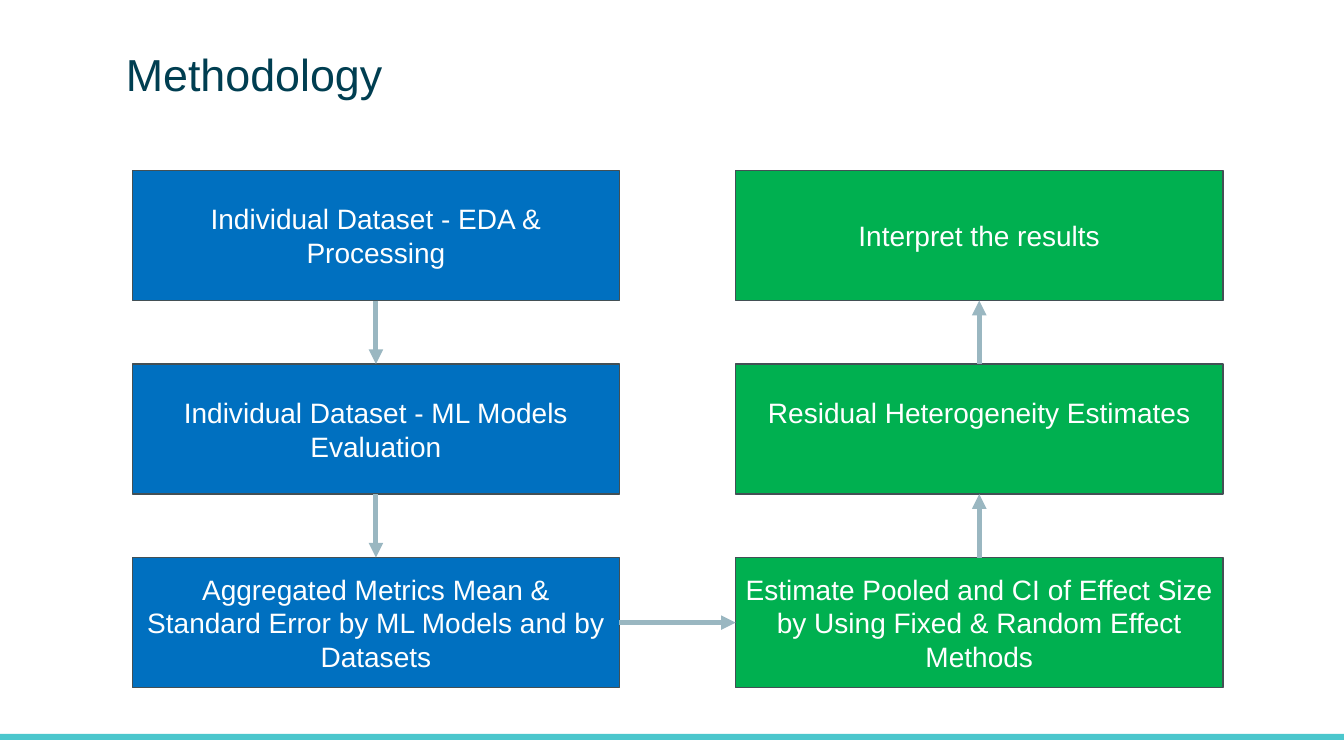
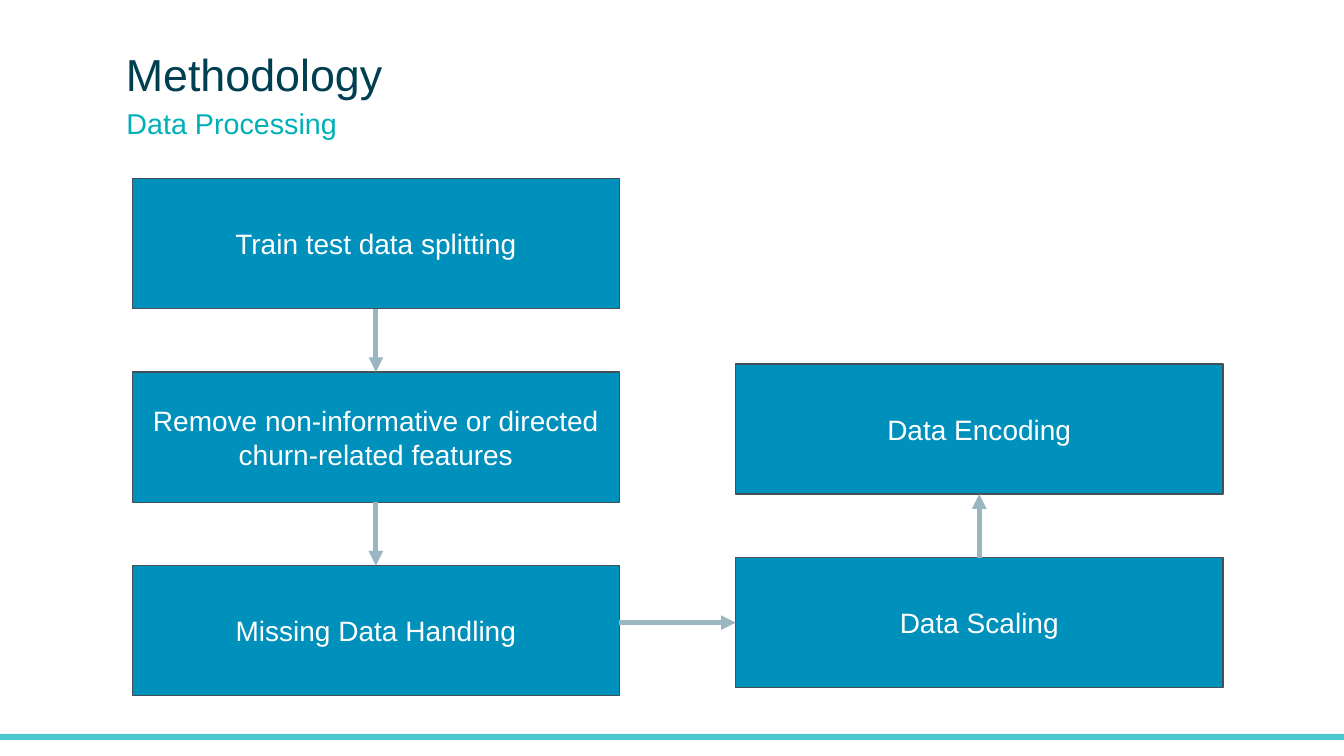
from dataclasses import dataclass
from itertools import pairwise

from lxml.etree import SubElement
from pptx import Presentation
from pptx.dml.color import RGBColor
from pptx.enum.shapes import MSO_CONNECTOR, MSO_SHAPE
from pptx.enum.text import MSO_ANCHOR, PP_ALIGN
from pptx.oxml.ns import qn
from pptx.util import Pt


@dataclass(frozen=True)
class Theme:
    font: str = "Arial"
    title_color: str = "003E51"
    accent: str = "00B0B9"
    box_text: str = "FFFFFF"
    box_line: str = "435055"
    arrow: str = "9AB7C1"
    dataset_fill: str = "0070C0"
    analysis_fill: str = "00B050"
    processing_fill: str = "0090BC"
    title_size: float = 32
    subtitle_size: float = 20.5
    box_size: float = 20


THEME = Theme()

# Flow chart grid, in points
SLIDE_WIDTH, SLIDE_HEIGHT = 960, 540
LEFT_COLUMN, RIGHT_COLUMN = 94.5, 525.5
FLOW_TOP, ROW_PITCH = 121.75, 138.25
BOX_WIDTH, BOX_HEIGHT = 348, 93

# Connection sites of a rectangle
TOP, LEFT, BOTTOM, RIGHT = range(4)


def rgb(color):
    return RGBColor.from_string(color)


def set_text(shape, text, size, color):
    frame = shape.text_frame
    frame.word_wrap = True
    frame.text = text
    font = frame.paragraphs[0].runs[0].font
    font.name, font.size = THEME.font, Pt(size)
    font.color.rgb = rgb(color)
    return frame


def add_rectangle(slide, left, top, width, height, fill):
    shape = slide.shapes.add_shape(
        MSO_SHAPE.RECTANGLE, Pt(left), Pt(top), Pt(width), Pt(height))
    shape.shadow.inherit = False
    shape.fill.solid()
    shape.fill.fore_color.rgb = rgb(fill)
    return shape


def add_footer_band(slide):
    band = add_rectangle(slide, 0, 524.2, SLIDE_WIDTH, 4.3, THEME.accent)
    band.line.fill.background()
    color = band.fill._xPr.find(qn("a:solidFill")).find(qn("a:srgbClr"))
    SubElement(color, qn("a:alpha"), val="70000")


def add_title(slide, text):
    box = slide.shapes.add_textbox(Pt(82.8), Pt(34.5), Pt(793.5), Pt(54))
    frame = set_text(box, text, THEME.title_size, THEME.title_color)
    frame.paragraphs[0].line_spacing = 0.9


def add_subtitle(slide, text):
    box = slide.shapes.add_textbox(Pt(83.2), Pt(68.5), Pt(671), Pt(45.5))
    frame = set_text(box, text, THEME.subtitle_size, THEME.accent)
    frame.margin_top = frame.margin_bottom = Pt(7.2)


def add_box(slide, left, top, text, fill):
    box = add_rectangle(slide, left, top, BOX_WIDTH, BOX_HEIGHT, fill)
    box.line.color.rgb = rgb(THEME.box_line)
    box.line.width = Pt(1)
    frame = set_text(box, text, THEME.box_size, THEME.box_text)
    frame.vertical_anchor = MSO_ANCHOR.MIDDLE
    frame.paragraphs[0].alignment = PP_ALIGN.CENTER
    return box


def add_column(slide, left, top, texts, fill):
    return [add_box(slide, left, top + row * ROW_PITCH, text, fill)
            for row, text in enumerate(texts)]


def add_arrow(slide, x, y):
    """Start an arrow at a point; the caller joins its ends to boxes."""
    arrow = slide.shapes.add_connector(MSO_CONNECTOR.STRAIGHT, x, y, x, y)
    arrow.line.color.rgb = rgb(THEME.arrow)
    arrow.line.width = Pt(3.5)
    SubElement(arrow.line._get_or_add_ln(), qn("a:tailEnd"), type="triangle")
    SubElement(arrow._element.spPr, qn("a:effectLst"))
    return arrow


def add_vertical_arrows(slide, boxes):
    """Join boxes, given in reading order of the flow, up or down."""
    for source, target in pairwise(boxes):
        down = source.top < target.top
        arrow = add_arrow(slide, source.left, source.top)
        arrow.begin_connect(source, BOTTOM if down else TOP)
        arrow.end_connect(target, TOP if down else BOTTOM)


def add_level_arrow(slide, source, target):
    """Run level into the target, joining the source if the rows align."""
    arrow = add_arrow(slide, source.left + source.width,
                      target.top + target.height // 2)
    if source.top == target.top:
        arrow.begin_connect(source, RIGHT)
    arrow.end_connect(target, LEFT)


def add_flow(slide, left_boxes, right_boxes):
    """Lead down the left column, across, and up the right column."""
    add_vertical_arrows(slide, left_boxes)
    add_level_arrow(slide, left_boxes[-1], right_boxes[-1])
    add_vertical_arrows(slide, right_boxes[::-1])


def add_methodology_slide(presentation):
    slide = presentation.slides.add_slide(presentation.slide_layouts[6])
    add_footer_band(slide)
    add_title(slide, "Methodology")
    return slide


def build_overview(presentation):
    slide = add_methodology_slide(presentation)
    datasets = add_column(slide, LEFT_COLUMN, FLOW_TOP, [
        "Individual Dataset - EDA & Processing",
        "Individual Dataset - ML Models Evaluation",
        "Aggregated Metrics Mean & Standard Error by ML Models and by Datasets",
    ], THEME.dataset_fill)
    analysis = add_column(slide, RIGHT_COLUMN, FLOW_TOP, [
        "Interpret the results",
        "Residual Heterogeneity Estimates",
        "Estimate Pooled and CI of Effect Size by Using Fixed & Random "
        "Effect Methods",
    ], THEME.analysis_fill)
    # The heterogeneity label sits above the middle of its box
    analysis[1].text_frame.margin_bottom = Pt(27)
    add_flow(slide, datasets, analysis)


def build_data_processing(presentation):
    slide = add_methodology_slide(presentation)
    add_subtitle(slide, "Data Processing")
    cleaning = add_column(slide, LEFT_COLUMN, FLOW_TOP + 5.75, [
        "Train test data splitting",
        "Remove non-informative or directed churn-related features",
        "Missing Data Handling",
    ], THEME.processing_fill)
    transforming = add_column(slide, RIGHT_COLUMN, FLOW_TOP + ROW_PITCH, [
        "Data Encoding",
        "Data Scaling",
    ], THEME.processing_fill)
    add_flow(slide, cleaning, transforming)


def main():
    presentation = Presentation()
    presentation.slide_width = Pt(SLIDE_WIDTH)
    presentation.slide_height = Pt(SLIDE_HEIGHT)
    build_overview(presentation)
    build_data_processing(presentation)
    presentation.save("out.pptx")


if __name__ == "__main__":
    main()
